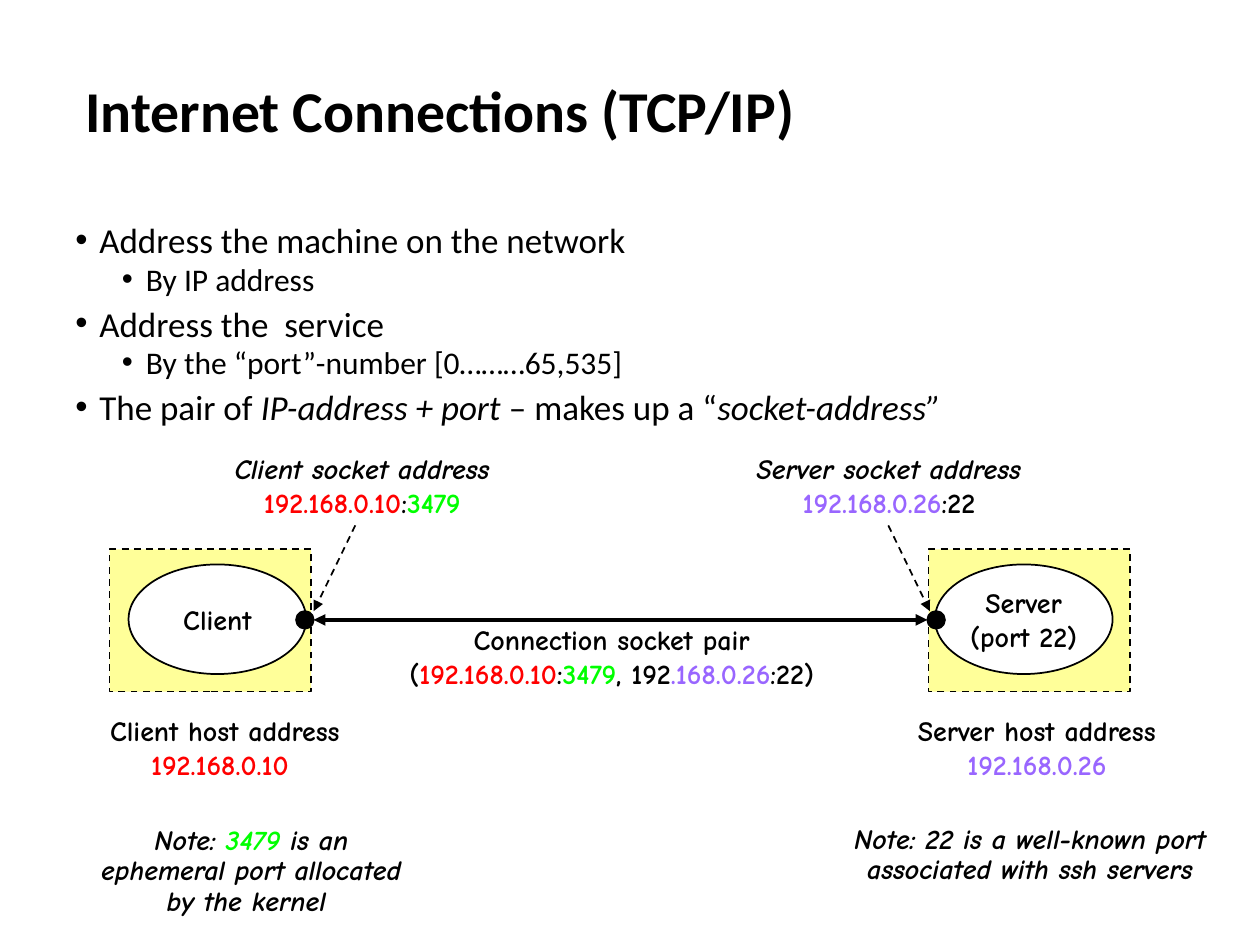
import dataclasses

import lxml.etree
import pptx
import pptx.dml.color
import pptx.enum.dml
import pptx.enum.shapes
import pptx.enum.text
import pptx.oxml.ns
import pptx.util

Inches = pptx.util.Inches
Pt = pptx.util.Pt
RGB = pptx.dml.color.RGBColor.from_string
qn = pptx.oxml.ns.qn
PP_ALIGN = pptx.enum.text.PP_ALIGN
ANCHOR = pptx.enum.text.MSO_ANCHOR
SHAPE = pptx.enum.shapes.MSO_SHAPE
DASH = pptx.enum.dml.MSO_LINE.DASH


@dataclasses.dataclass(frozen=True)
class Theme:
    ink: str = "000000"
    paper: str = "FFFFFF"
    host: str = "FFFF99"
    client_ip: str = "FF0000"
    client_port: str = "00FF00"
    server_ip: str = "9966FF"
    heading_font: str = "Calibri"
    diagram_font: str = "Comic Neue"
    title_size: int = 33
    bullet_sizes: tuple = (20, 18)
    diagram_size: int = 16


theme = Theme()


def write(frame, paragraphs, base, layout):
    """Fill a frame; each run is (text, colour, optional format values)."""
    for index, runs in enumerate(paragraphs):
        paragraph = frame.paragraphs[0] if index == 0 else frame.add_paragraph()
        for name, value in layout.items():
            setattr(paragraph, name, value)
        for text, colour, *extra in runs:
            run = paragraph.add_run()
            run.text = text
            for name, value in {**base, **(extra[0] if extra else {})}.items():
                setattr(run.font, name, value)
            run.font.color.rgb = RGB(colour)


def add_text(at, frame_format):
    """Add an empty text box and return its frame."""
    frame = slide.shapes.add_textbox(*map(Inches, at)).text_frame
    for name, value in frame_format.items():
        setattr(frame, name, value)
    return frame


deck = pptx.Presentation()
deck.slide_width, deck.slide_height = Inches(10), Inches(7.5)
slide = deck.slides.add_slide(deck.slide_layouts[6])

# Title
title = add_text((0.58, 0.33, 8.62, 1.15),
                 {"word_wrap": True, "vertical_anchor": ANCHOR.MIDDLE})
write(title, [[("Internet Connections (TCP/IP)", theme.ink)]],
      {"name": theme.heading_font, "size": Pt(theme.title_size), "bold": True},
      {"line_spacing": 0.9})

# Bullets: level and runs
italic = {"italic": True}
points = [
    (0, [("Address the machine on the network", theme.ink)]),
    (1, [("By IP address", theme.ink)]),
    (0, [("Address the  service", theme.ink)]),
    (1, [("By the “port”-number [0………65,535]", theme.ink)]),
    (0, [("The pair of ", theme.ink), ("IP-address + port ", theme.ink, italic),
         ("– makes up a “", theme.ink), ("socket-address”", theme.ink, italic)]),
]
bullets = add_text((0.5, 1.75, 9, 2.02), {"word_wrap": True})
write(bullets, [runs for level, runs in points], {"name": theme.heading_font},
      {"line_spacing": 0.8})
for index, (paragraph, (level, runs)) in enumerate(zip(bullets.paragraphs, points)):
    properties = paragraph._p.get_or_add_pPr()
    properties.set("marL", str(Inches((0.19, 0.56)[level])))
    properties.set("indent", str(Inches(-0.19)))
    bullet_colour = lxml.etree.SubElement(properties, qn("a:buClr"))
    lxml.etree.SubElement(bullet_colour, qn("a:srgbClr"), val=theme.ink)
    lxml.etree.SubElement(properties, qn("a:buFont"), typeface="Arial")
    lxml.etree.SubElement(properties, qn("a:buChar"), char="•")
    paragraph.level = level
    paragraph.space_before = Pt((7.5, 3.7)[level] if index else 0)
    for run in paragraph.runs:
        run.font.size = Pt(theme.bullet_sizes[level])

# Hosts, processes and sockets: kind, place, fill, dash, text lines
diagram_type = {"name": theme.diagram_font, "size": Pt(theme.diagram_size), "bold": True}
centred = {"alignment": PP_ALIGN.CENTER}
nodes = []
for host_left, process_left, socket_left, process_lines in [
    (0.87, 1.02, 2.35, ["Client"]),
    (7.37, 7.42, 7.36, ["Server", "(port 22)"]),
]:
    nodes += [
        (SHAPE.RECTANGLE, (host_left, 4.36, 1.6, 1.13), theme.host, DASH, []),
        (SHAPE.OVAL, (process_left, 4.48, 1.41, 0.87), theme.paper, None, process_lines),
        (SHAPE.OVAL, (socket_left, 4.85, 0.14, 0.14), theme.ink, None, []),
    ]
for kind, at, fill, dash, lines in nodes:
    node = slide.shapes.add_shape(kind, *map(Inches, at))
    node.shadow.inherit = False
    node.fill.solid()
    node.fill.fore_color.rgb = RGB(fill)
    node.line.color.rgb = RGB(theme.ink)
    node.line.width = Pt(1)
    node.line.dash_style = dash
    if lines:
        node.text_frame.word_wrap = False
        node.text_frame.vertical_anchor = ANCHOR.MIDDLE
        write(node.text_frame, [[(line, theme.ink)] for line in lines],
              diagram_type, centred)

# Connection and pointers to the sockets: ends, width, dash, arrowheads
for ends, width, dash, arrowheads in [
    ((2.49, 4.92, 7.36, 4.92), 2.25, None, ("headEnd", "tailEnd")),
    ((2.82, 4.17, 2.49, 4.85), 1, DASH, ("tailEnd",)),
    ((7.05, 4.17, 7.38, 4.85), 1, DASH, ("tailEnd",)),
]:
    arrow = slide.shapes.add_connector(
        pptx.enum.shapes.MSO_CONNECTOR.STRAIGHT, *map(Inches, ends))
    arrow.line.color.rgb = RGB(theme.ink)
    arrow.line.width = Pt(width)
    arrow.line.dash_style = dash
    for end in arrowheads:
        lxml.etree.SubElement(arrow.line._get_or_add_ln(), qn("a:" + end), type="triangle")
    lxml.etree.SubElement(arrow._element.spPr, qn("a:effectLst"))

# Labels: place, wrapping, runs per line
client_ip = ("192.168.0.10", theme.client_ip)
client_port = ("3479", theme.client_port)
server_ip = ("192.168.0.26", theme.server_ip)
colon = (":", theme.ink)
labels = [
    ((3.15, 4.89, 3.41, 0.64), False, [
        [("Connection socket pair", theme.ink)],
        [("(", theme.ink), client_ip, colon, client_port, (", 192", theme.ink),
         (".168.0.26", theme.server_ip), (":22)", theme.ink)]]),
    ((1.76, 3.53, 2.23, 0.64), False, [
        [("Client socket address", theme.ink, italic)],
        [client_ip, colon, client_port]]),
    ((5.64, 3.53, 2.83, 0.64), True, [
        [("Server socket address", theme.ink, italic)],
        [server_ip, (":22", theme.ink)]]),
    ((0.77, 5.61, 2.03, 0.64), False, [
        [("Client host address", theme.ink)],
        [("192.168.0.10 ", theme.client_ip)]]),
    ((7.18, 5.61, 2.1, 0.64), False, [
        [("Server host address", theme.ink)], [server_ip]]),
]
label_fit = {"auto_size": pptx.enum.text.MSO_AUTO_SIZE.SHAPE_TO_FIT_TEXT}
for at, wrap, lines in labels:
    label = add_text(at, {**label_fit, "word_wrap": wrap, "vertical_anchor": ANCHOR.MIDDLE})
    write(label, lines, diagram_type, centred)

# Notes on the ports
for at, lines in [
    ((0.7, 6.51, 2.59, 0.82), [
        [("Note: ", theme.ink), client_port, (" is an", theme.ink)],
        [("ephemeral port allocated", theme.ink)],
        [("by the kernel ", theme.ink)]]),
    ((6.68, 6.5, 2.99, 0.58), [
        [("Note: 22 is a well-known port", theme.ink)],
        [("associated with ssh servers", theme.ink)]]),
]:
    note = add_text(at, {**label_fit, "word_wrap": False})
    write(note, lines, {**diagram_type, **italic}, {**centred, "line_spacing": 0.9})

deck.save("out.pptx")
